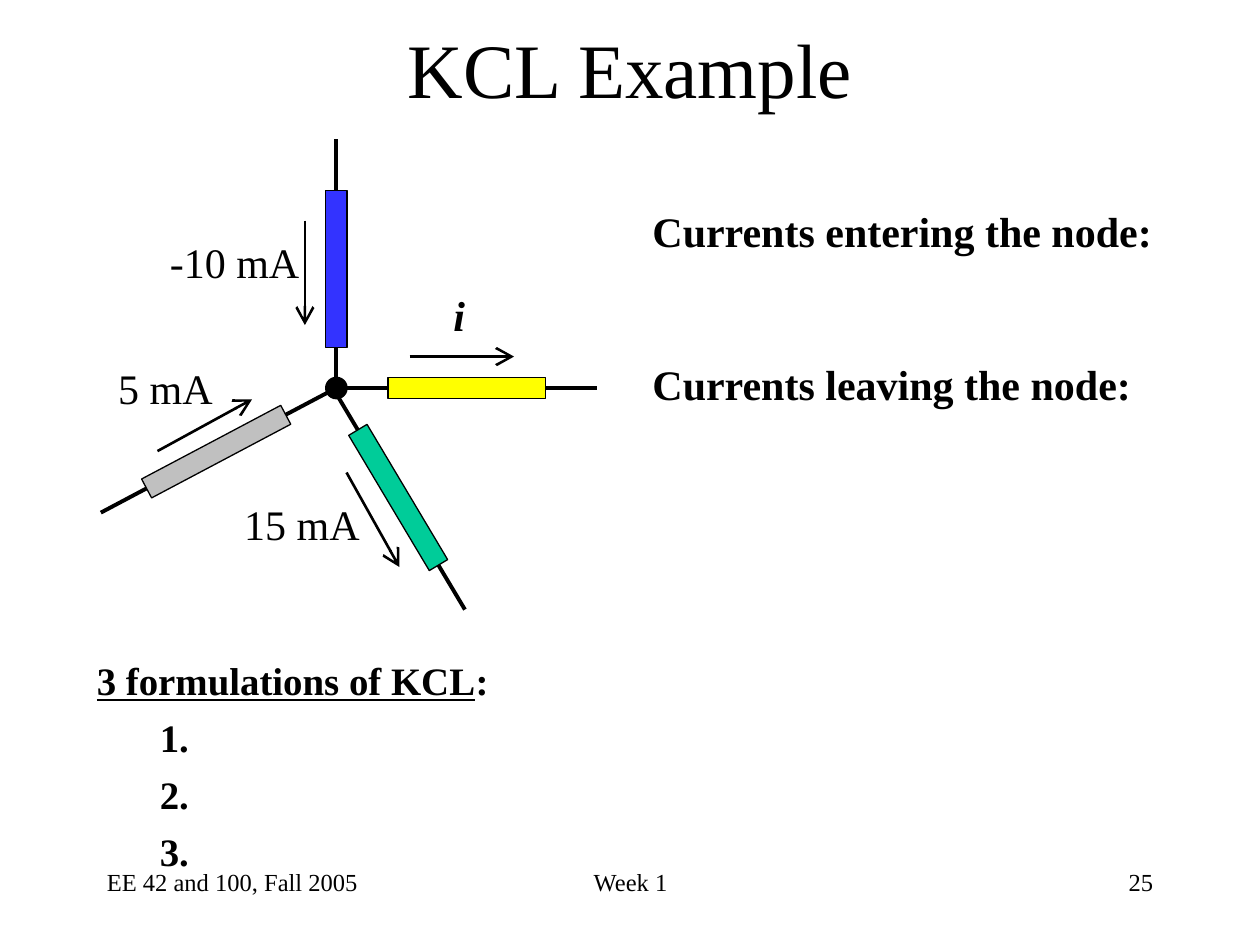
import math

import pptx
import pptx.dml.color
import pptx.enum.shapes
import pptx.enum.text
import pptx.oxml
import pptx.oxml.ns
import pptx.util
from pptx.util import Inches

RGBColor = pptx.dml.color.RGBColor
BLACK = RGBColor(0x00, 0x00, 0x00)
GREY = RGBColor(0xC0, 0xC0, 0xC0)
YELLOW = RGBColor(0xFF, 0xFF, 0x00)
GREEN = RGBColor(0x00, 0xCC, 0x99)
BLUE = RGBColor(0x33, 0x33, 0xFF)

FONT = "Times New Roman"
PP_ALIGN = pptx.enum.text.PP_ALIGN
SHAPE = pptx.enum.shapes.MSO_SHAPE

LEAD = 0.41
RESISTOR = 1.25
THICKNESS = 0.17


def set_font(paragraph, size, bold=False, italic=False):
    font = paragraph.font
    font.name = FONT
    font.size = pptx.util.Pt(size)
    font.bold = bold
    font.italic = italic
    font.color.rgb = BLACK


def set_indent(paragraph, left, first_line):
    properties = paragraph._p.get_or_add_pPr()
    properties.set("marL", str(Inches(left)))
    properties.set("indent", str(Inches(first_line)))


def add_text(slide, box, text, size, align=PP_ALIGN.LEFT, wrap=True, **style):
    """Add a text box with one paragraph per line of text; return its paragraphs."""
    frame = slide.shapes.add_textbox(*map(Inches, box)).text_frame
    frame.word_wrap = wrap
    frame.text = text
    for paragraph in frame.paragraphs:
        paragraph.alignment = align
        set_font(paragraph, size, **style)
    return frame.paragraphs


def add_line(slide, start, end, width, arrow=False):
    connector = slide.shapes.add_connector(
        pptx.enum.shapes.MSO_CONNECTOR.STRAIGHT, *map(Inches, (*start, *end)))
    connector.line.color.rgb = BLACK
    connector.line.width = pptx.util.Pt(width)
    properties = connector._element.spPr
    if arrow:
        head = pptx.oxml.parse_xml(
            '<a:tailEnd %s type="arrow" w="lg" len="lg"/>'
            % pptx.oxml.ns.nsdecls("a"))
        connector.line._get_or_add_ln().append(head)
    properties.append(pptx.oxml.parse_xml(
        "<a:effectLst %s/>" % pptx.oxml.ns.nsdecls("a")))
    return connector


def add_solid(slide, kind, center, width, height, fill):
    x, y = center
    shape = slide.shapes.add_shape(
        kind, *map(Inches, (x - width / 2, y - height / 2, width, height)))
    shape.shadow.inherit = False
    shape.fill.solid()
    shape.fill.fore_color.rgb = fill
    shape.line.color.rgb = BLACK
    shape.line.width = pptx.util.Pt(0.75)
    return shape


def add_branch(slide, start, angle, fill):
    """Draw lead, resistor and lead outward from start; angle is clockwise degrees."""
    def along(distance):
        turn = math.radians(angle)
        return (start[0] + distance * math.cos(turn),
                start[1] + distance * math.sin(turn))

    resistor = add_solid(slide, SHAPE.RECTANGLE, along(LEAD + RESISTOR / 2),
                         RESISTOR, THICKNESS, fill)
    resistor.rotation = angle
    far_side = LEAD + RESISTOR
    for near, far, side in ((LEAD, 0, 1), (far_side, far_side + LEAD, 3)):
        lead = add_line(slide, along(near), along(far), 2.25)
        lead.begin_connect(resistor, side)
        # begin_connect ignores rotation, so put the end back on the turned side
        lead.begin_x, lead.begin_y = map(Inches, along(near))


def add_circuit(slide, left, top):
    def place(x, y):
        return left + x, top + y

    branches = (
        ((1.96, 2.02), 152.1, GREY),
        ((2, 2), 0, YELLOW),
        ((1.96, 1.98), 59.2, GREEN),
        ((2, 2.09), 270, BLUE),
    )
    for start, angle, fill in branches:
        add_branch(slide, place(*start), angle, fill)
    add_solid(slide, SHAPE.OVAL, place(2, 2), THICKNESS, THICKNESS, BLACK)

    currents = (
        ("5 mA", (0.17, 1.75), 1, (0.58, 2.5), (1.33, 2.09), False),
        ("15 mA", (1.17, 2.83), 1.2, (2.08, 2.67), (2.5, 3.42), False),
        ("i", (2.83, 1.17), 0.35, (2.58, 1.75), (3.41, 1.75), True),
        ("-10 mA", (0.58, 0.75), 1.3, (1.75, 0.67), (1.75, 1.5), False),
    )
    for text, corner, width, start, end, emphasis in currents:
        add_text(slide, (*place(*corner), width, 0.5), text, 24, wrap=False,
                 bold=emphasis, italic=emphasis)
        add_line(slide, place(*start), place(*end), 1.5, arrow=True)


def add_title(slide, box):
    title = slide.shapes.title
    title.left, title.top, title.width, title.height = map(Inches, box)
    frame = title.text_frame
    frame.text = "KCL Example"
    frame.vertical_anchor = pptx.enum.text.MSO_ANCHOR.MIDDLE
    frame.auto_size = pptx.enum.text.MSO_AUTO_SIZE.NONE
    frame.paragraphs[0].alignment = PP_ALIGN.CENTER
    set_font(frame.paragraphs[0], 44)


def add_formulations(slide, box):
    heading, *items = add_text(
        slide, box, "3 formulations of KCL\n1.\n2.\n3.", 22.2, bold=True)
    heading.runs[0].font.underline = True
    heading.add_run().text = ":"
    set_indent(heading, 0.38, -0.38)
    for item in items:
        item.level = 1
        item.space_before = pptx.util.Pt(6)
        set_indent(item, 0.81, -0.31)


def add_current_headings(slide, box):
    headings = add_text(
        slide, box, "Currents entering the node:\nCurrents leaving the node:",
        24, bold=True)
    for heading in headings:
        heading.line_spacing = 0.8
        set_indent(heading, 0.38, -0.38)
    headings[1].space_before = pptx.util.Pt(64.5)


def add_footer(slide, top):
    parts = (
        ("EE 42 and 100, Fall 2005", 0.75, 2.33, PP_ALIGN.LEFT),
        ("Week 1", 3.42, 3.17, PP_ALIGN.CENTER),
        ("25", 7.17, 2.08, PP_ALIGN.RIGHT),
    )
    for text, left, width, align in parts:
        add_text(slide, (left, top, width, 0.5), text, 14, align)


def main():
    presentation = pptx.Presentation()
    presentation.slide_width = Inches(10)
    presentation.slide_height = Inches(7.5)
    slide = presentation.slides.add_slide(presentation.slide_layouts[5])
    add_title(slide, (0.5, 0.25, 9, 0.58))
    add_circuit(slide, 0.67, 1.08)
    add_formulations(slide, (0.67, 5.16, 8.67, 1.85))
    add_current_headings(slide, (5.08, 1.66, 4.67, 1.85))
    add_footer(slide, 6.83)
    presentation.save("out.pptx")


if __name__ == "__main__":
    main()
